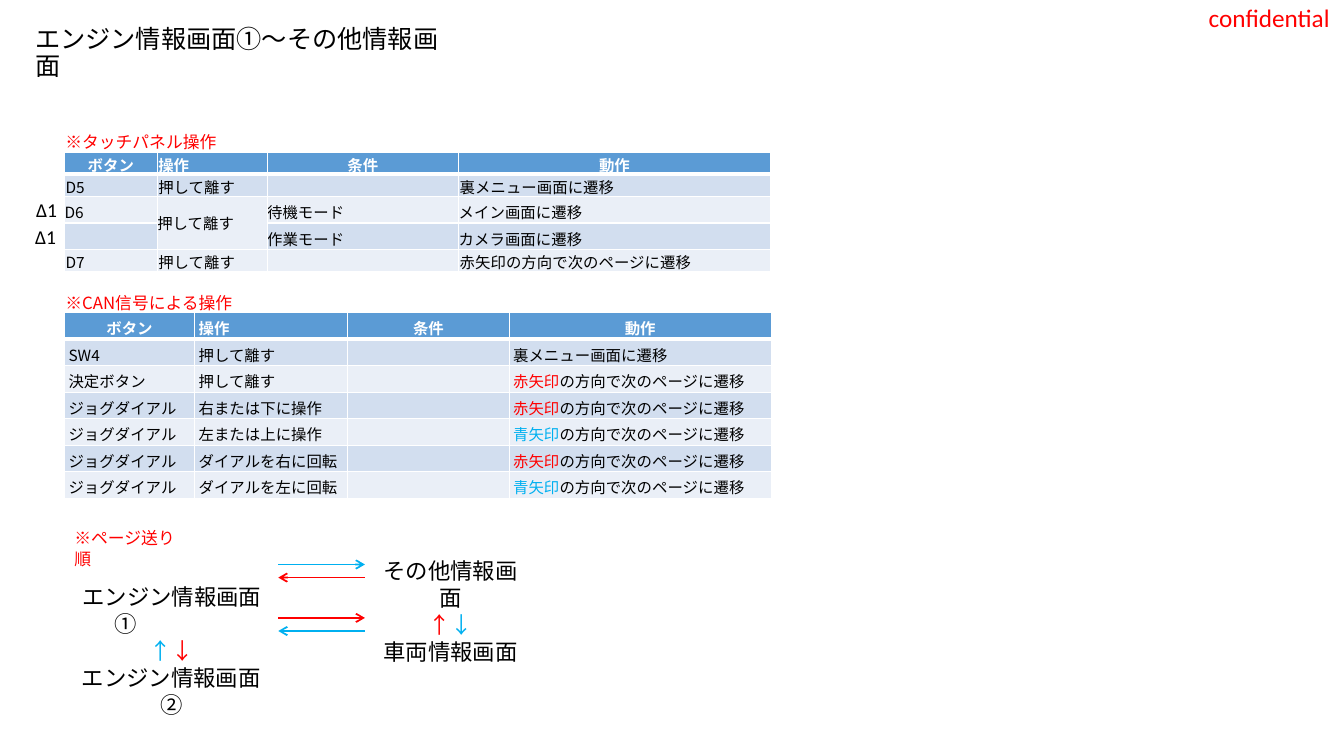
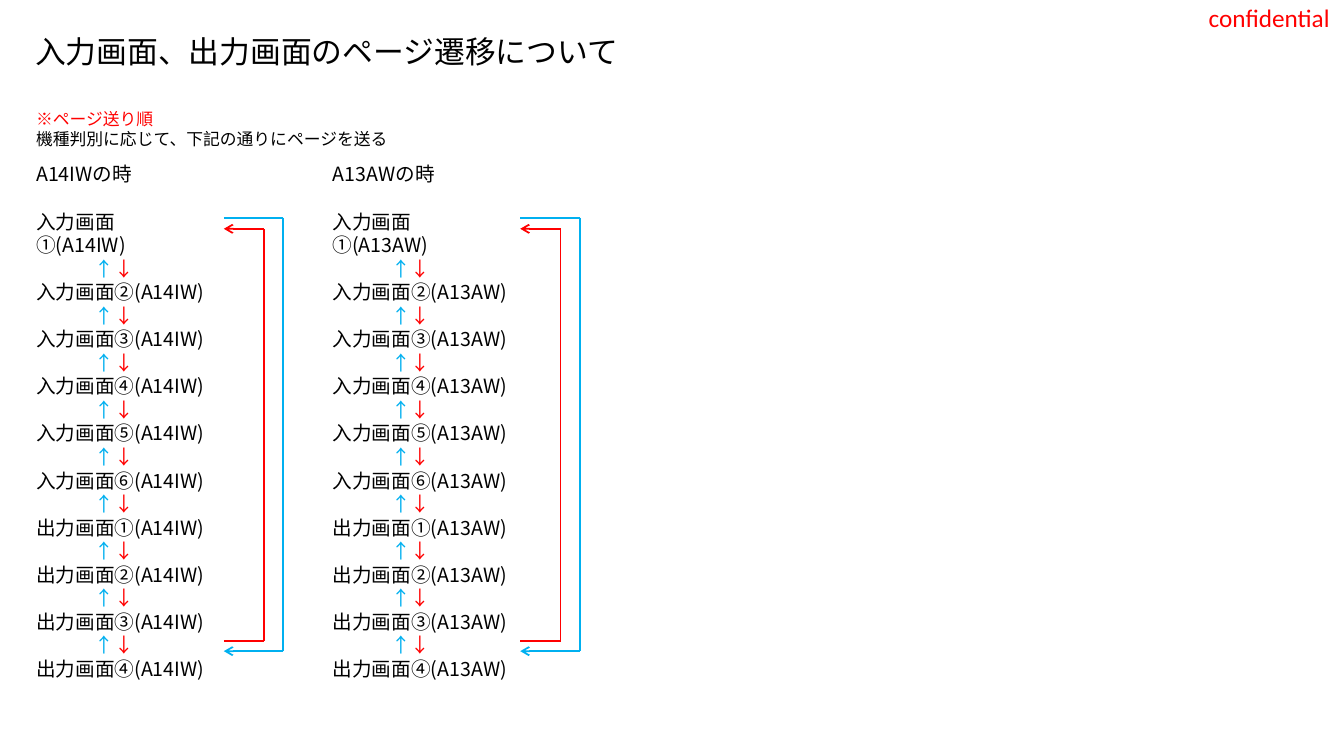
from dataclasses import dataclass
from itertools import pairwise
from typing import Any, NamedTuple

from lxml.etree import SubElement
from pptx import Presentation
from pptx.dml.color import RGBColor
from pptx.enum.shapes import MSO_CONNECTOR
from pptx.enum.text import MSO_ANCHOR, PP_ALIGN
from pptx.oxml.ns import qn
from pptx.slide import Slide
from pptx.util import Inches, Pt

RED = RGBColor(0xFF, 0x00, 0x00)
BLUE = RGBColor(0x00, 0xB0, 0xF0)
BLACK = RGBColor(0x00, 0x00, 0x00)
WHITE = RGBColor(0xFF, 0xFF, 0xFF)
HEAD = RGBColor(0x5B, 0x9B, 0xD5)
BANDS = (RGBColor(0xEA, 0xEF, 0xF7), RGBColor(0xD2, 0xDE, 0xEF))
GOTHIC = "Noto Sans CJK JP"
LATIN = "Calibri"


class Bit(NamedTuple):
    text: str
    color: RGBColor = BLACK


@dataclass
class Para:
    bits: list[Bit]
    align: PP_ALIGN = PP_ALIGN.LEFT
    left: float = 0
    hang: float = 0
    before: float = 0
    pitch: float | None = None


@dataclass
class Box:
    left: float
    top: float
    width: float
    height: float
    paras: list[Para]
    size: float
    font: str = GOTHIC
    wrap: bool = True
    anchor: MSO_ANCHOR = MSO_ANCHOR.TOP


class Inset(NamedTuple):
    left: float
    top: float
    right: float
    bottom: float


TIGHT = Inset(0.01, 0.01, 0.01, 0)
FLUSH = Inset(0, 0.04, 0.04, 0.04)
EVEN = Inset(0.04, 0.04, 0.04, 0.04)


@dataclass
class Row:
    cells: list[list[Bit]]
    height: float = 0.26
    inset: Inset = EVEN


@dataclass
class Grid:
    left: float
    top: float
    cols: list[float]
    rows: list[Row]
    merge: tuple[int, int, int] | None = None


def set_all(item: Any, values: dict[str, Any]) -> None:
    for name, value in values.items():
        setattr(item, name, value)


def write(target: Any, para: Para, size: float, font: str = GOTHIC, bold: bool = False) -> None:
    props = target._p.get_or_add_pPr()
    if para.left:
        props.set("marL", str(Inches(para.left)))
        props.set("indent", str(Inches(-para.hang)))
    set_all(target, {"alignment": para.align, "line_spacing": para.pitch,
                     "space_before": Pt(para.before)})
    for bit in para.bits:
        for index, part in enumerate(bit.text.split("\n")):
            if index:
                target.add_line_break()
            run = target.add_run()
            run.text = part
            set_all(run.font, {"size": Pt(size), "name": font, "bold": bold})
            run.font.color.rgb = bit.color
            SubElement(run._r.get_or_add_rPr(), qn("a:ea"), typeface=font)
    if not para.bits:
        SubElement(target._p, qn("a:endParaRPr"), sz=str(int(size * 100)))


def add_box(slide: Slide, box: Box) -> None:
    shape = slide.shapes.add_textbox(
        Inches(box.left), Inches(box.top), Inches(box.width), Inches(box.height))
    frame = shape.text_frame
    set_all(frame, {"word_wrap": box.wrap, "vertical_anchor": box.anchor})
    for index, para in enumerate(box.paras):
        target = frame.add_paragraph() if index else frame.paragraphs[0]
        write(target, para, box.size, box.font)


def add_route(slide: Slide, color: RGBColor, points: list[tuple[float, float]]) -> None:
    for start, end in pairwise(points):
        line = slide.shapes.add_connector(
            MSO_CONNECTOR.STRAIGHT, *(Inches(value) for value in start + end))
        line.line.color.rgb = color
        line.line.width = Pt(1.25)
        if end is points[-1]:
            SubElement(line.line._get_or_add_ln(), qn("a:tailEnd"), type="arrow")
        SubElement(line._element.spPr, qn("a:effectLst"))


def add_edge(props: Any, side: str, width: float) -> None:
    edge = SubElement(props, qn(f"a:{side}"), w=str(Pt(width)))
    fill = SubElement(edge, qn("a:solidFill"))
    SubElement(fill, qn("a:srgbClr"), val=str(WHITE))


def add_grid(slide: Slide, grid: Grid) -> None:
    rows = [Row([[Bit(text, WHITE)] for text in ("ボタン", "操作", "条件", "動作")],
                grid.rows[0].height, grid.rows[0].inset), *grid.rows]
    table = slide.shapes.add_table(
        len(rows), len(grid.cols), Inches(grid.left), Inches(grid.top),
        Inches(sum(grid.cols)), Inches(sum(row.height for row in rows))).table
    table.horz_banding = False
    for index, width in enumerate(grid.cols):
        table.columns[index].width = Inches(width)
    for y, row in enumerate(rows):
        table.rows[y].height = Inches(row.height)
        for x, bits in enumerate(row.cells):
            cell = table.cell(y, x)
            set_all(cell, {f"margin_{side}": Inches(value)
                           for side, value in row.inset._asdict().items()})
            cell.vertical_anchor = MSO_ANCHOR.MIDDLE
            props = cell._tc.get_or_add_tcPr()
            for side, width in {"lnL": 1, "lnR": 1, "lnT": 3 if y == 1 else 1,
                                "lnB": 1 if y else 3}.items():
                add_edge(props, side, width)
            cell.fill.solid()
            cell.fill.fore_color.rgb = BANDS[y % 2] if y else HEAD
            align = PP_ALIGN.LEFT if y or x == 1 else PP_ALIGN.CENTER
            write(cell.text_frame.paragraphs[0], Para(bits, align), 11, bold=not y)
    if grid.merge:
        top, end, col = grid.merge
        table.cell(top, col).merge(table.cell(end, col))


def plain(*texts: str) -> list[list[Bit]]:
    return [[Bit(text)] if text else [] for text in texts]


def add_page(deck: Any, title: Box) -> Slide:
    slide = deck.slides.add_slide(deck.slide_layouts[6])
    add_box(slide, Box(11.89, -0.03, 1.44, 0.4, [Para([Bit("confidential", RED)])],
                       18, LATIN, False))
    title.anchor = MSO_ANCHOR.MIDDLE
    add_box(slide, title)
    return slide


def turn(button: str, action: str, name: str, color: RGBColor) -> Row:
    return Row([*plain(button, action, ""), [Bit(name, color), Bit("の方向で次のページに遷移")]])


def add_engine(deck: Any) -> None:
    slide = add_page(deck, Box(0.25, 0.35, 4.34, 0.37, [
        Para([Bit("エンジン情報画面①～その他情報画面")], pitch=0.9)], 18))
    for left, top, width, text in (
            (0.55, 1.26, 3, "※タッチパネル操作"),
            (0.55, 2.86, 3, "※CAN信号による操作"),
            (0.64, 5.19, 1.23, "※ページ送り順")):
        add_box(slide, Box(left, top, width, 0.3, [Para([Bit(text, RED)])], 12))
    press, menu = "押して離す", "裏メニュー画面に遷移"
    add_grid(slide, Grid(0.64, 1.51, [0.92, 1.09, 1.9, 3.09], [
        Row(plain("D5", press, "", menu), 0.22, TIGHT),
        Row(plain("D6", press, "待機モード", "メイン画面に遷移"), inset=FLUSH),
        Row(plain("", "", "作業モード", "カメラ画面に遷移"), inset=FLUSH),
        Row(plain("D7", press, "", "赤矢印の方向で次のページに遷移"), 0.22, TIGHT),
    ], (2, 3, 1)))
    red, blue, dial = ("赤矢印", RED), ("青矢印", BLUE), "ジョグダイアル"
    add_grid(slide, Grid(0.64, 3.1, [1.29, 1.52, 1.6, 2.6], [
        Row(plain("SW4", press, "", menu)),
        turn("決定ボタン", press, *red),
        turn(dial, "右または下に操作", *red),
        turn(dial, "左または上に操作", *blue),
        turn(dial, "ダイアルを右に回転", *red),
        turn(dial, "ダイアルを左に回転", *blue),
    ]))
    mid = PP_ALIGN.CENTER
    add_box(slide, Box(0.68, 5.74, 2.04, 1.43, [
        Para([Bit("エンジン情報画面①")], left=0.36, hang=0.32),
        Para([Bit("↑", BLUE), Bit("↓", RED)], mid),
        Para([Bit("エンジン情報画面②")], mid)], 16))
    add_box(slide, Box(3.62, 5.48, 1.7, 1.17, [
        Para([Bit("その他情報画面")], mid),
        Para([Bit("↑", RED), Bit("↓", BLUE)], mid),
        Para([Bit("車両情報画面")], mid)], 16))
    near, far = 2.76, 3.62
    for start, end, y, color in ((near, far, 5.6, BLUE), (far, near, 5.73, RED),
                                 (near, far, 6.13, RED), (far, near, 6.26, BLUE)):
        add_route(slide, color, [(start, y), (end, y)])
    for left, top in ((0.26, 1.91), (0.25, 2.18)):
        add_box(slide, Box(left, top, 0.41, 0.34, [Para([Bit("Δ1")])], 14, LATIN, False))


def add_order(deck: Any) -> None:
    slide = add_page(deck, Box(0.25, 0.32, 6.08, 0.43, [
        Para([Bit("入力画面、出力画面のページ遷移について")], pitch=0.9)], 22))
    add_box(slide, Box(0.26, 1.03, 6.67, 0.5, [
        Para([Bit("※ページ送り順", RED)]),
        Para([Bit("機種判別に応じて、下記の通りにページを送る")])], 12))
    pages = ["入力画面\n①", *(f"入力画面{mark}" for mark in "②③④⑤⑥"),
             *(f"出力画面{mark}" for mark in "①②③④")]
    for index, model in enumerate(("A14IW", "A13AW")):
        shift = 2.94 * index
        paras = [Para([Bit(f"{model}の時")])]
        for rank, page in enumerate(pages):
            if rank:
                paras.append(Para([Bit("↑", BLUE), Bit("↓", RED)], left=0.58))
            paras.append(Para([Bit(f"{page}({model})")], before=0 if rank else 17))
        add_box(slide, Box(0.26 + shift, 1.56, 2.71, 5.05, paras, 14))
        for color, side, start, end in ((RED, 2.62, 6.36, 2.27), (BLUE, 2.81, 2.16, 6.46)):
            near, far = 2.22 + shift, side + shift
            add_route(slide, color, [(near, start), (far, start), (far, end), (near, end)])


def main() -> None:
    deck = Presentation()
    set_all(deck, {"slide_width": Inches(13.33), "slide_height": Inches(7.5)})
    add_engine(deck)
    add_order(deck)
    deck.save("out.pptx")


if __name__ == "__main__":
    main()
